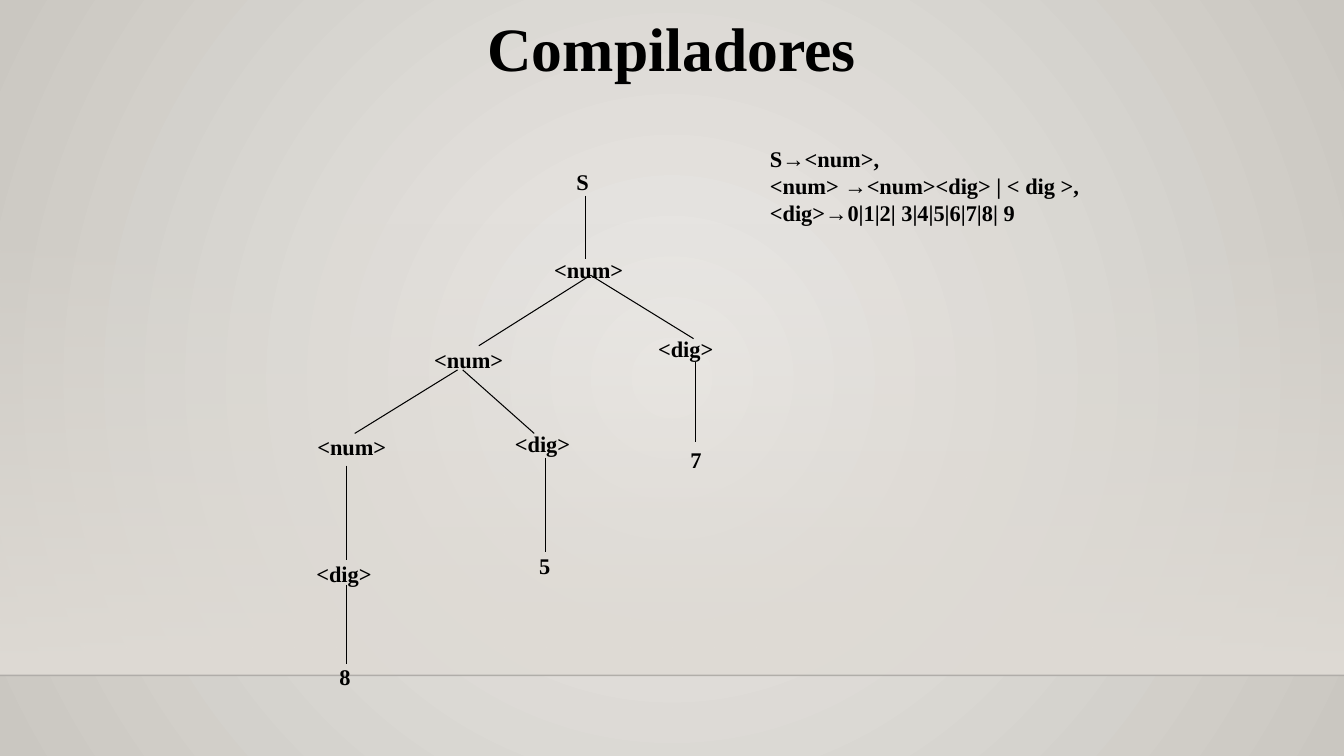
import pptx
import pptx.dml.color
import pptx.enum.dml
import pptx.enum.shapes
import pptx.enum.text
import pptx.oxml
import pptx.oxml.ns
import pptx.util
from lxml import etree

Pt = pptx.util.Pt
RGBColor = pptx.dml.color.RGBColor
qn = pptx.oxml.ns.qn

BLACK = RGBColor(0x00, 0x00, 0x00)
HORIZON = RGBColor(0x00, 0x00, 0x01)
GLOW = RGBColor(0xEC, 0xEA, 0xE7)
EDGE = RGBColor(0xCA, 0xC7, 0xC1)
WALL = RGBColor(0xDF, 0xDB, 0xD5)

SERIF, SANS = "Times New Roman", "Arial"
ARROW = "→"
WIDTH, HEIGHT = 960, 540
WALL_TOP, FLOOR = 159.1, 482.4
NODE_HEIGHT = 26.6
NODE_WIDTHS = {"S": 22.3, "<num>": 67, "<dig>": 58.3, "8": 21.6, "7": 21.6, "5": 21.6}

NODES = [
    ("S", 404.6, 116.6),
    ("<num>", 388.8, 179.3),
    ("<num>", 303.1, 243.4),
    ("<dig>", 463, 236.2),
    ("<num>", 219.6, 306),
    ("<dig>", 360.7, 303.8),
    ("<dig>", 218.9, 396.7),
    ("8", 235.4, 470.2),
    ("5", 378, 391),
]
BRANCHES = [
    (418.3, 139.7, 418.3, 185),
    (421.9, 196.6, 342, 247),
    (421.9, 196.6, 495.4, 241.9),
    (326.9, 264.2, 253.4, 309.6),
    (330.5, 264.2, 381.6, 309.6),
    (247.7, 332.6, 247.7, 400.3),
    (247.7, 417.6, 247.7, 474.5),
    (389.5, 326.9, 389.5, 394.6),
]
GRAMMAR = [
    "S→<num>,",
    "<num> →<num><dig> | < dig >,",
    "<dig>→0|1|2| 3|4|5|6|7|8| 9",
]


def set_alpha(color, percent):
    """Give a colour element an opacity in percent."""
    etree.SubElement(color, qn("a:alpha")).set("val", str(percent * 1000))


def set_gradient(fill, start, end):
    """Apply a two-stop gradient and return its XML element."""
    fill.gradient()
    for stop, color in zip(fill.gradient_stops, (start, end)):
        stop.color.rgb = color
    fill.gradient_stops[0].position = 0
    fill.gradient_stops[1].position = 1
    return fill


def add_backdrop(slide):
    """Paint the radial background, the fading wall and the floor line."""
    set_gradient(slide.background.fill, GLOW, EDGE)
    gradient = slide.background._cSld.find(".//" + qn("a:gradFill"))
    gradient.remove(gradient.find(qn("a:lin")))
    radial = etree.SubElement(gradient, qn("a:path"))
    radial.set("path", "circle")
    center = etree.SubElement(radial, qn("a:fillToRect"))
    for side in "ltrb":
        center.set(side, "50000")

    wall = slide.shapes.add_shape(
        pptx.enum.shapes.MSO_SHAPE.RECTANGLE,
        Pt(0), Pt(WALL_TOP), Pt(WIDTH), Pt(FLOOR - WALL_TOP))
    wall.shadow.inherit = False
    wall.line.fill.background()
    set_gradient(wall.fill, WALL, WALL)
    wall.fill.gradient_angle = 270
    set_alpha(wall._element.spPr.find(".//" + qn("a:srgbClr")), 0)

    floor = add_line(slide, 0, FLOOR, WIDTH, FLOOR, HORIZON, 1)
    set_alpha(floor._element.spPr.find(".//" + qn("a:srgbClr")), 20)


def add_line(slide, x1, y1, x2, y2, color=BLACK, weight=0.75):
    """Draw a straight line without a shadow."""
    line = slide.shapes.add_connector(
        pptx.enum.shapes.MSO_CONNECTOR.STRAIGHT, Pt(x1), Pt(y1), Pt(x2), Pt(y2))
    line.line.color.rgb = color
    line.line.width = Pt(weight)
    etree.SubElement(line._element.spPr, qn("a:effectLst"))
    return line


def add_text(slide, lines, left, top, width, height, *, size=16, wrap=False,
             align=pptx.enum.text.PP_ALIGN.LEFT,
             anchor=pptx.enum.text.MSO_ANCHOR.TOP,
             fit=pptx.enum.text.MSO_AUTO_SIZE.SHAPE_TO_FIT_TEXT):
    """Add bold text, setting each arrow in the sans font."""
    box = slide.shapes.add_textbox(Pt(left), Pt(top), Pt(width), Pt(height))
    frame = box.text_frame
    frame.word_wrap = wrap
    frame.auto_size = fit
    frame.vertical_anchor = anchor
    for index, line in enumerate(lines):
        paragraph = frame.add_paragraph() if index else frame.paragraphs[0]
        paragraph.alignment = align
        before, arrow, after = line.partition(ARROW)
        for part in filter(None, (before, arrow, after)):
            run = paragraph.add_run()
            run.text = part
            run.font.name = SANS if part == ARROW else SERIF
            run.font.size = Pt(size)
            run.font.bold = True
            run.font.color.rgb = BLACK
    return box


def add_node(slide, label, left, top):
    """Add one labelled node of the derivation tree."""
    return add_text(slide, [label], left, top, NODE_WIDTHS[label], NODE_HEIGHT)


def main():
    """Build the parse tree slide and save it."""
    deck = pptx.Presentation()
    deck.slide_width, deck.slide_height = Pt(WIDTH), Pt(HEIGHT)
    slide = deck.slides.add_slide(deck.slide_layouts[6])

    add_backdrop(slide)
    add_text(slide, ["Compiladores"], 120, 3.6, 720, 60.5, size=44, wrap=True,
             align=pptx.enum.text.PP_ALIGN.CENTER,
             anchor=pptx.enum.text.MSO_ANCHOR.MIDDLE,
             fit=pptx.enum.text.MSO_AUTO_SIZE.NONE)
    for branch in BRANCHES:
        add_line(slide, *branch)
    for node in NODES:
        add_node(slide, *node)

    seven = add_node(slide, "7", 486, 315.4)
    seven_branch = add_line(slide, 496.8, 258.5, 496.8, 315.4)
    seven_branch.end_connect(seven, 0)

    add_text(slide, GRAMMAR, 542.9, 100.1, 256.3, 85)
    deck.save("out.pptx")


if __name__ == "__main__":
    main()
